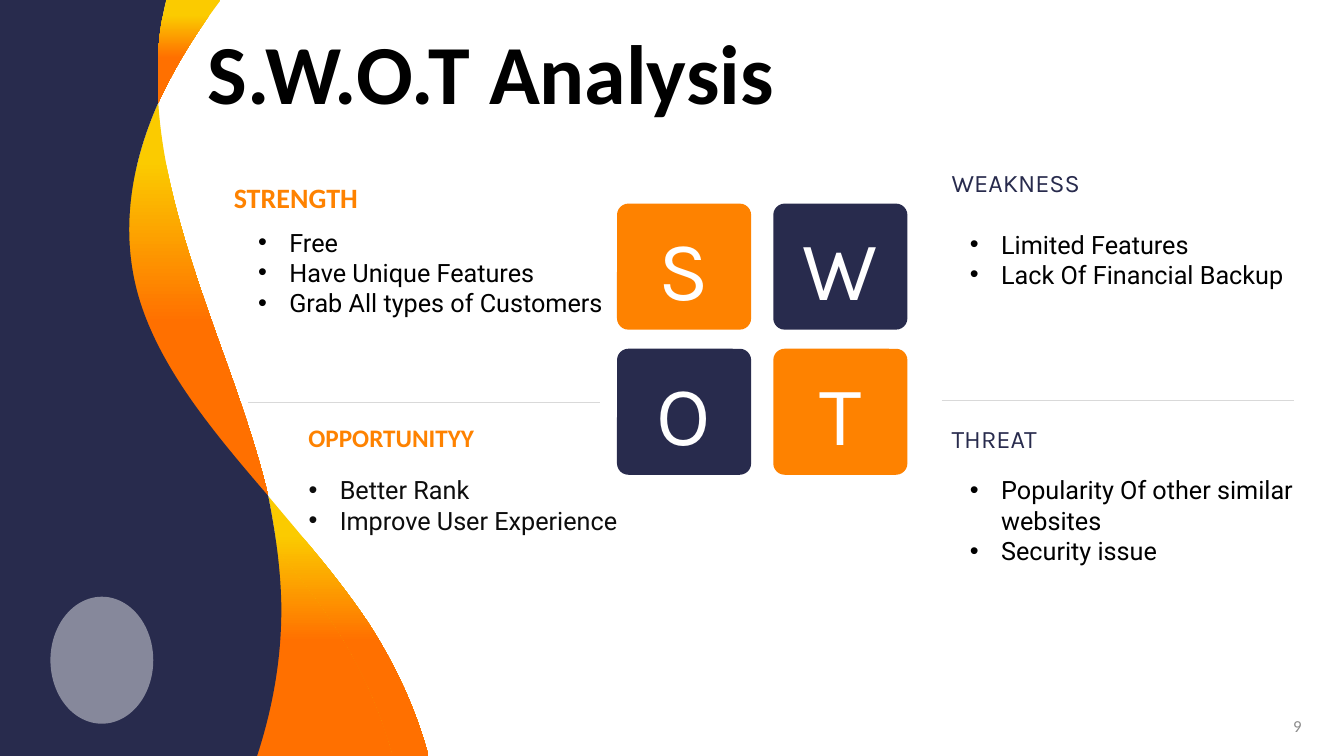
from lxml import etree
from pptx import Presentation
from pptx.dml.color import RGBColor
from pptx.enum.shapes import MSO_CONNECTOR, MSO_SHAPE
from pptx.enum.text import MSO_ANCHOR, MSO_AUTO_SIZE, PP_ALIGN
from pptx.oxml.ns import qn
from pptx.util import Inches, Pt

ROUNDED, OVAL = MSO_SHAPE.ROUNDED_RECTANGLE, MSO_SHAPE.OVAL
STRAIGHT = MSO_CONNECTOR.STRAIGHT
TOP, MIDDLE = MSO_ANCHOR.TOP, MSO_ANCHOR.MIDDLE
LEFT, CENTER, RIGHT = PP_ALIGN.LEFT, PP_ALIGN.CENTER, PP_ALIGN.RIGHT
NO_AUTOFIT = MSO_AUTO_SIZE.NONE
NAVY, ORANGE, WHITE, BLACK = "282B4D", "FE8200", "FFFFFF", "000000"
YELLOW, DEEP_ORANGE = "FBCB00", "FF7000"
COMPARISON_LAYOUT = 4


def color(hex_string):
    """Turn a hex string into a colour."""
    return RGBColor.from_string(hex_string)


def write(shape, lines, font, size, hex_color, bold=False, align=LEFT, anchor=TOP):
    """Fill a shape with lines of evenly formatted text."""
    frame = shape.text_frame
    frame.text = "\n".join(lines)
    frame.word_wrap = True
    frame.auto_size = NO_AUTOFIT
    frame.vertical_anchor = anchor
    for paragraph in frame.paragraphs:
        paragraph.alignment = align
        paragraph.space_before = Pt(0)
        paragraph.font.name = font
        paragraph.font.size = Pt(size)
        paragraph.font.bold = bold
        paragraph.font.color.rgb = color(hex_color)


presentation = Presentation()
presentation.slide_width = Inches(13.33)
presentation.slide_height = Inches(7.5)
presentation.element.set("firstSlideNum", "9")
slide = presentation.slides.add_slide(presentation.slide_layouts[COMPARISON_LAYOUT])
shapes = slide.shapes

# Wave: pairs are straight steps, sextets are cubic curves, all in inches
neck, waist = (1.57, 1.02), (2.66, 4.92)
top_edge = [(1.65, 0), (1.6, 0.2, 1.57, 0.41, 1.57, 0.61), (1.56, 0.75, 1.57, 0.88, *neck)]
belly = [(1.29, 1.65, 1.19, 2.32, 1.38, 2.96), (1.59, 3.66, 2.12, 4.29, *waist)]
foot = [(2.73, 5.27, 2.78, 5.61, 2.79, 5.97), (2.8, 6.5, 2.71, 7.01, 2.55, 7.5)]
head_return = [(1.73, 0.67, 1.94, 0.33, 2.19, 0)]
ribbon_return = [(2.53, 4.37, 2.33, 3.83, 2.14, 3.3), (1.88, 2.56, 1.62, 1.8, *neck)]
tail_return = [(4.25, 7.5), (4.13, 7.05, 3.93, 6.61, 3.66, 6.19),
               (3.37, 5.75, 3.01, 5.34, *waist)]
wave_parts = [
    (0, waist, foot + tail_return, None),
    (0, neck, belly + ribbon_return, None),
    (-0.36, waist, foot + tail_return, None),
    (0, (0, 0), top_edge + belly + foot + [(0, 7.5)], NAVY),
    (0, (2.19, 0), top_edge + head_return, None),
]
for layer, (shift, start, steps, solid) in enumerate(wave_parts):
    nodes = [(Inches(x + shift), Inches(y))
             for step in steps for x, y in zip(step[::2], step[1::2])]
    builder = shapes.build_freeform(Inches(start[0] + shift), Inches(start[1]))
    builder.add_line_segments(nodes)
    wave = builder.convert_to_shape()

    # Join each three nodes of a curve into one cubic segment
    segments = iter(list(wave.element.iter(qn("a:lnTo"))))
    for step in steps:
        segment = next(segments)
        if len(step) == 6:
            segment.tag = qn("a:cubicBezTo")
            for control in (next(segments), next(segments)):
                segment.append(control[0])
                control.getparent().remove(control)

    wave.shadow.inherit = False
    wave.line.fill.background()
    if solid:
        wave.fill.solid()
        wave.fill.fore_color.rgb = color(solid)
    else:
        wave.fill.gradient()
        wave.fill.gradient_angle = 270
        gradient = zip(wave.fill.gradient_stops, [(0.15, YELLOW), (0.56, DEEP_ORANGE)])
        for stop, (position, hex_color) in gradient:
            stop.position = position
            stop.color.rgb = color(hex_color)
    shapes.element.insert(2 + layer, wave.element)  # behind the placeholders

emblem = shapes.add_shape(OVAL, Inches(0.5), Inches(5.92), Inches(1.02), Inches(1.26))
emblem.shadow.inherit = False
emblem.fill.solid()
emblem.fill.fore_color.rgb = color("86889B")
emblem.line.fill.background()

# Title
title = shapes.title
title.left, title.top = Inches(1.96), Inches(0.36)
title.width, title.height = Inches(11.05), Inches(0.81)
write(title, ["S.W.O.T Analysis"], "Calibri", 60, BLACK, bold=True, anchor=MIDDLE)
title.text_frame.paragraphs[0].line_spacing = 0.9

# Two by two letter tiles
for index, (letter, fill) in enumerate(zip("SWOT", [ORANGE, NAVY, NAVY, ORANGE])):
    row, column = divmod(index, 2)
    tile = shapes.add_shape(ROUNDED, Inches(6.12 + 1.55 * column),
                            Inches(2.02 + 1.44 * row), Inches(1.33), Inches(1.25))
    tile.adjustments[0] = 0.09
    tile.shadow.inherit = False
    tile.fill.solid()
    tile.fill.fore_color.rgb = color(fill)
    tile.line.fill.background()
    write(tile, [letter], "Karla", 60, WHITE, align=CENTER, anchor=MIDDLE)

# Headings
headings = [
    ("STRENGTH", 2.22, 1.74, "Calibri", 20, ORANGE, True),
    ("OPPORTUNITYY", 2.96, 4.14, "Calibri", 18, ORANGE, True),
    ("WEAKNESS", 9.34, 1.61, "Karla", 18, NAVY, False),
    ("THREAT", 9.34, 4.15, "Karla", 18, NAVY, False),
]
for text, left, top, *style in headings:
    heading = shapes.add_textbox(Inches(left), Inches(top), Inches(2.72), Inches(0.4))
    write(heading, [text], *style)

# Bulleted lists in the four body placeholders
lists = [
    (2.46, 2.2, 3.66, 1.01, BLACK,
     ["Free", "Have Unique Features", "Grab All types of Customers"]),
    (9.52, 2.22, 3.34, 0.71, BLACK, ["Limited Features", "Lack Of Financial Backup"]),
    (2.96, 4.66, 4.35, 1.01, "0D0D0D", ["Better Rank", "Improve User Experience"]),
    (9.52, 4.66, 3.96, 1.01, BLACK,
     ["Popularity Of other similar websites", "Security issue"]),
]
bodies = [body for body in slide.placeholders if body.placeholder_format.idx > 0]
for body, (left, top, width, height, hex_color, items) in zip(bodies, lists):
    body.left, body.top = Inches(left), Inches(top)
    body.width, body.height = Inches(width), Inches(height)
    write(body, items, "Roboto", 18, hex_color)
    for paragraph in body.text_frame.paragraphs:
        properties = paragraph.font._element.getparent()
        properties.set("marL", str(Inches(0.31)))
        properties.set("indent", str(-Inches(0.31)))
        bullet = etree.Element(qn("a:buChar"), char="•")
        properties.insert(len(properties) - 1, bullet)

# Dividers
for left, top in [(2.46, 3.99), (9.34, 3.97)]:
    divider = shapes.add_connector(STRAIGHT, Inches(left), Inches(top),
                                   Inches(left + 3.49), Inches(top))
    divider.line.color.rgb = color("D9D9D9")
    divider.line.width = Pt(0.5)
    etree.SubElement(divider.element.spPr, qn("a:effectLst"))

# Slide number as a live field
number = shapes.add_textbox(Inches(10.01), Inches(7.06), Inches(3), Inches(0.29))
write(number, ["9"], "Calibri", 12, "8C8C8C", align=RIGHT, anchor=MIDDLE)
run = number.text_frame.paragraphs[0].runs[0]._r
run.tag = qn("a:fld")
run.set("id", "{B6F15528-21DE-4FAA-801E-634DDDAF4B2B}")
run.set("type", "slidenum")

presentation.save("out.pptx")
